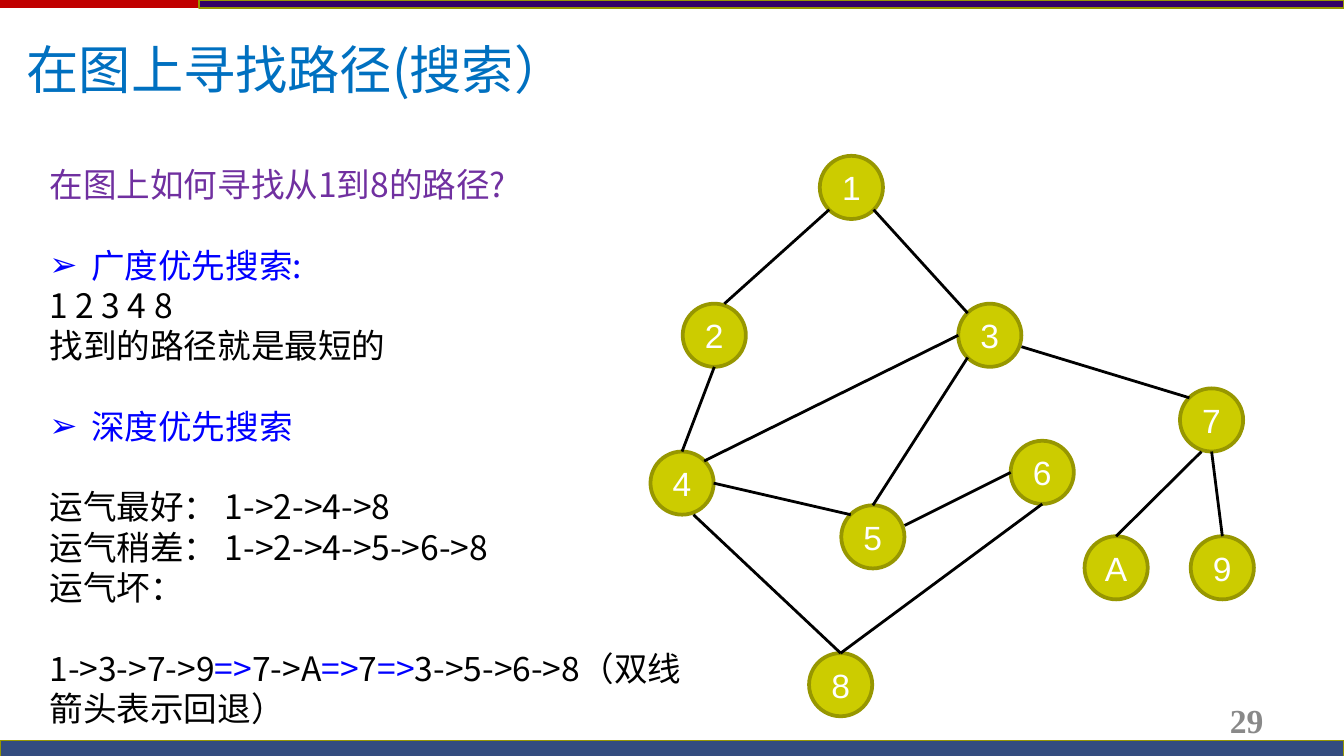
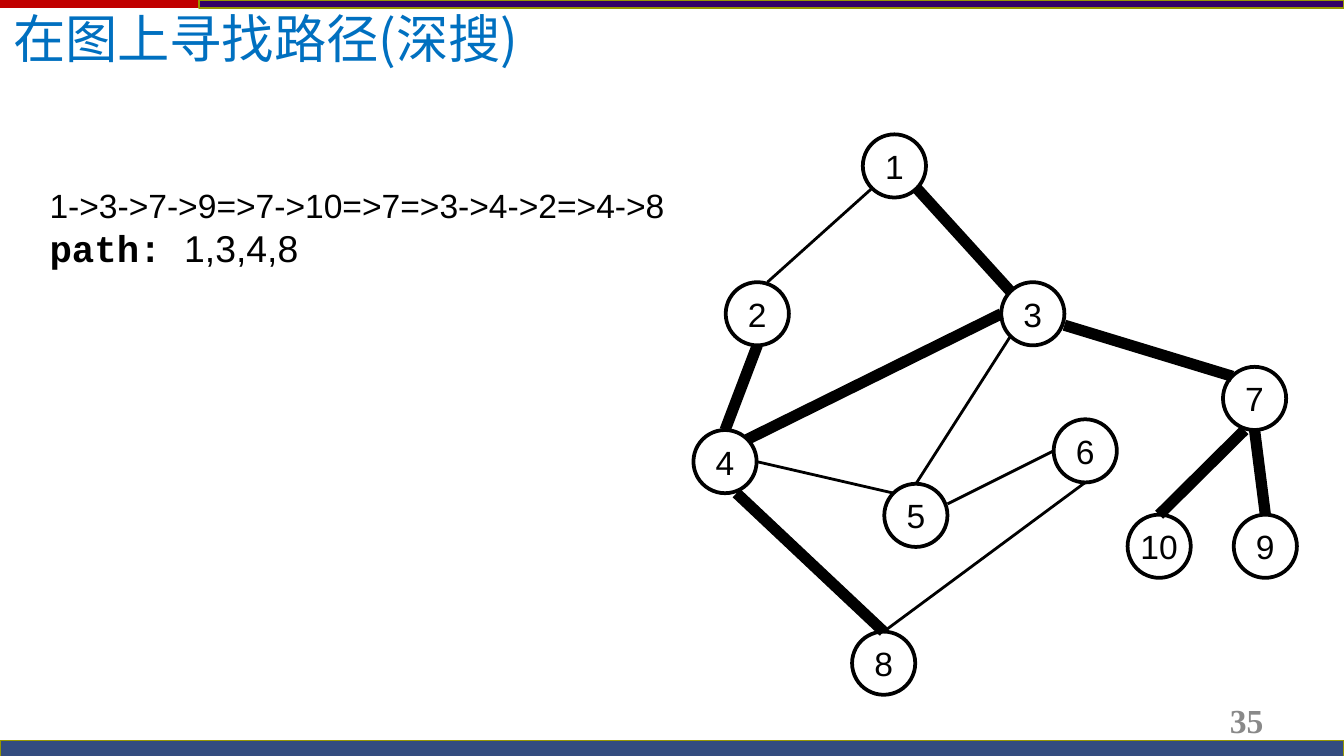
from dataclasses import dataclass, replace

from lxml.etree import SubElement
from pptx import Presentation
from pptx.dml.color import RGBColor
from pptx.enum.shapes import MSO_CONNECTOR, MSO_SHAPE
from pptx.enum.text import MSO_ANCHOR, PP_ALIGN
from pptx.oxml.ns import qn
from pptx.util import Inches, Pt


@dataclass(frozen=True)
class Type:
    face: str
    size: float
    color: str
    bold: bool = False


@dataclass(frozen=True)
class Para:
    runs: tuple
    align: PP_ALIGN = PP_ALIGN.LEFT
    bullet: str = ""
    indent: float = 0
    gap: float = 0
    pitch: float = 0


class Theme:
    red, purple, navy, edge = "C00000", "330066", "002060", "979700"
    olive, black, white = "CCCC00", "000000", "FFFFFF"
    thin, thick, ring = 1.5, 6, 2
    pitch = 21.6
    title = Type("Noto Sans CJK SC", 28, "0070C0")
    body = Type("Noto Sans CJK SC", 18, black)
    ask = replace(body, color="7030A0")
    mark = replace(body, color="0000FF")
    label = Type("Arial", 18, black)
    code = Type("Courier New", 20, black, True)
    value = replace(label, size=20)
    page = Type("Times New Roman", 18, "898989", True)


class Deck:
    def __init__(self, theme):
        self.theme = theme
        self.prs = Presentation()
        self.prs.slide_width = Inches(10)
        self.prs.slide_height = Inches(10 * 9 / 16)
        self.slide = None

    def start(self, title, left, top, page):
        """Add a slide with bands, page number and title."""
        t = self.theme
        self.slide = self.prs.slides.add_slide(self.prs.slide_layouts[6])
        self.band(0, 0, 10, 0.06, t.red)
        self.band(1.48, 0, 8.52, 0.06, t.purple, t.edge)
        self.band(0, 5.51, 10, 0.12, t.navy, t.edge, 80)
        self.text(7.17, 5.21, 2.33, 0.3,
                  [Para(((page, t.page),), PP_ALIGN.RIGHT)], MSO_ANCHOR.MIDDLE)
        self.text(left, top, 8.75, 0.74, [Para(((title, t.title),), pitch=35)])

    def shape(self, kind, left, top, width, height, fill, line=None, weight=0):
        item = self.slide.shapes.add_shape(
            kind, Inches(left), Inches(top), Inches(width), Inches(height))
        item.shadow.inherit = False
        item.fill.solid()
        item.fill.fore_color.rgb = RGBColor.from_string(fill)
        if line:
            item.line.color.rgb = RGBColor.from_string(line)
            item.line.width = Pt(weight)
        else:
            item.line.fill.background()
        return item

    def band(self, left, top, width, height, fill, line=None, alpha=100):
        item = self.shape(MSO_SHAPE.RECTANGLE, left, top, width, height, fill, line)
        if alpha < 100:
            color = item._element.spPr.find(qn("a:solidFill"))[0]
            SubElement(color, qn("a:alpha"), val=str(alpha * 1000))

    def text(self, left, top, width, height, paras, anchor=MSO_ANCHOR.TOP):
        box = self.slide.shapes.add_textbox(
            Inches(left), Inches(top), Inches(width), Inches(height))
        box.text_frame.word_wrap = True
        box.text_frame.vertical_anchor = anchor
        self.fill(box.text_frame, paras)

    def fill(self, frame, paras):
        for i, para in enumerate(paras):
            p = frame.add_paragraph() if i else frame.paragraphs[0]
            p.alignment = para.align
            if para.gap:
                p.space_before = Pt(para.gap)
            if para.pitch:
                p.line_spacing = Pt(para.pitch)
            props = p._p.get_or_add_pPr()
            if para.indent:
                props.set("marL", str(Inches(max(0, -para.indent))))
                props.set("indent", str(Inches(para.indent)))
            if para.bullet:
                SubElement(props, qn("a:buFont"), typeface="Arial")
                SubElement(props, qn("a:buChar"), char=para.bullet)
            for words, style in para.runs:
                self.run(p, words, style)

    def run(self, p, words, style):
        r = p.add_run()
        r.text = words
        r.font.size = Pt(style.size)
        r.font.bold = style.bold
        r.font.color.rgb = RGBColor.from_string(style.color)
        r.font.name = style.face
        SubElement(r._r.get_or_add_rPr(), qn("a:ea"), typeface=style.face)

    def node(self, left, top, label, fill, line, ink):
        item = self.shape(MSO_SHAPE.OVAL, left, top, NODE, NODE,
                          fill, line, self.theme.ring)
        frame = item.text_frame
        frame.word_wrap = False
        frame.vertical_anchor = MSO_ANCHOR.MIDDLE
        frame.margin_left = frame.margin_right = 0
        frame.margin_top = frame.margin_bottom = 0
        style = replace(self.theme.label, color=ink)
        self.fill(frame, [Para(((label, style),), PP_ALIGN.CENTER)])
        return item

    def link(self, one, spot, two, stop, weight):
        """Draw a line between spots measured from each node's corner."""
        ends = []
        for item, (x, y) in ((one, spot), (two, stop)):
            ends += [item.left + Inches(x), item.top + Inches(y)]
        line = self.slide.shapes.add_connector(MSO_CONNECTOR.STRAIGHT, *ends)
        line.line.color.rgb = RGBColor.from_string(self.theme.black)
        line.line.width = Pt(weight)
        SubElement(line._element.spPr, qn("a:effectLst"))
        if spot == TOP:
            line.begin_connect(one, 0)
        if stop == TOP:
            line.end_connect(two, 0)

    def graph(self, dx, dy, fill, line, ink, names=None, bold=()):
        names = names or {}
        nodes = {key: self.node(x + dx, y + dy, names.get(key, key), fill, line, ink)
                 for key, (x, y) in NODES.items()}
        for a, spot, b, stop in EDGES:
            weight = self.theme.thick if a + b in bold else self.theme.thin
            self.link(nodes[a], spot, nodes[b], stop, weight)


# Graph data: node corners, then edges with their end spots
NODE = 0.47
MID = NODE / 2
NEAR, FAR = 0.07, 0.4
TOP, LEFT, BASE, RIGHT = (MID, 0), (0, MID), (MID, NODE), (NODE, MID)
NODES = {
    "1": (6.1, 1.16), "2": (5.08, 2.26), "3": (7.13, 2.26), "4": (4.84, 3.36),
    "5": (6.26, 3.76), "6": (7.52, 3.28), "7": (8.78, 2.89), "8": (6.02, 4.86),
    "9": (8.86, 3.99), "A": (8.07, 3.99),
}
EDGES = (
    ("8", TOP, "4", (0.32, NODE)),
    ("2", (0.31, 0), "1", (NEAR, FAR)),
    ("4", TOP, "2", BASE),
    ("4", RIGHT, "5", (NEAR, NEAR)),
    ("3", (NEAR, NEAR), "1", (FAR, FAR)),
    ("5", TOP, "3", (NEAR, FAR)),
    ("8", TOP, "6", BASE),
    ("6", LEFT, "5", (NODE, 0.15)),
    ("7", (NEAR, NEAR), "3", (NODE, 0.32)),
    ("4", (FAR, NEAR), "3", LEFT),
    ("7", BASE, "9", TOP),
    ("7", (0.16, NODE), "A", TOP),
)


# Paragraph helpers
def line(*runs, gap=0, **more):
    return Para(runs, gap=gap, pitch=Theme.pitch, **more)


def point(words):
    return line((words, Theme.mark), gap=Theme.pitch, bullet="➢", indent=-0.31)


# Slides
def search(deck):
    t = deck.theme
    deck.start("在图上寻找路径(搜索）", 0.1, 0.21, "29")
    deck.graph(0, 0, t.olive, t.edge, t.white)
    back = ("=>", t.mark)
    deck.text(0.27, 1.17, 5.13, 4.34, [
        line(("在图上如何寻找从1到8的路径?", t.ask)),
        point("广度优先搜索:"),
        line(("1 2 3 4 8", t.body)),
        line(("找到的路径就是最短的", t.body)),
        point("深度优先搜索"),
        line(("运气最好： 1->2->4->8", t.body), gap=t.pitch),
        line(("运气稍差： 1->2->4->5->6->8", t.body)),
        line(("运气坏：", t.body)),
        line(("1->3->7->9", t.body), back, ("7->A", t.body), back, ("7", t.body),
             back, ("3->5->6->8（双线箭头表示回退）", t.body), gap=t.pitch),
    ])


def depth(deck):
    t = deck.theme
    deck.start("在图上寻找路径(深搜)", 0, -0.02, "35")
    deck.graph(0.32, -0.16, t.white, t.black, t.black, {"A": "10"},
               {"84", "42", "31", "73", "43", "79", "7A"})
    deck.text(-0.02, 1.31, 6.22, 0.77, [
        Para((("1->3->7->9=>7->10=>7=>3->4->2=>4->8", t.label),), indent=0.29),
        Para((("path: ", t.code), ("1,3,4,8", t.value)), indent=0.29),
    ], MSO_ANCHOR.MIDDLE)


def main():
    deck = Deck(Theme)
    search(deck)
    depth(deck)
    deck.prs.save("out.pptx")


if __name__ == "__main__":
    main()
